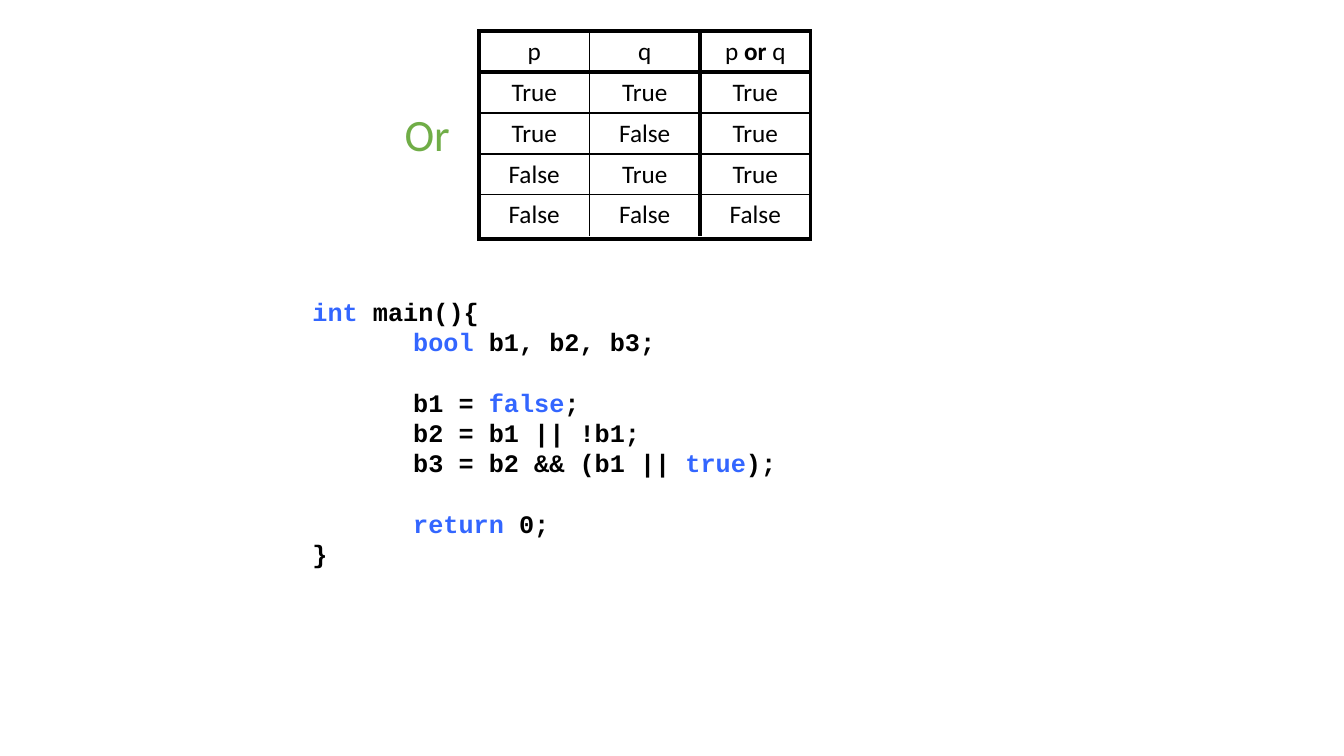
import pptx
import pptx.dml.color
import pptx.enum.text
import pptx.oxml
import pptx.oxml.ns
import pptx.util
from pptx.util import Inches

BLACK = pptx.dml.color.RGBColor(0x00, 0x00, 0x00)
GREEN = pptx.dml.color.RGBColor(0x70, 0xAD, 0x47)
BLUE = pptx.dml.color.RGBColor(0x33, 0x66, 0xFF)

PLAIN_TABLE_STYLE = "{2D5ABB26-0587-4C30-8999-92F81FD0307C}"
THIN, THICK = 1, 3

TRUTH_ROWS = [
    [[("p", False)], [("q", False)], [("p", False), (" or ", True), ("q", False)]],
    *[
        [[(value, False)] for value in row]
        for row in (
            ("True", "True", "True"),
            ("True", "False", "True"),
            ("False", "True", "True"),
            ("False", "False", "False"),
        )
    ],
]

CODE_LINES = [
    (0, False, [("int ", BLUE), ("main(){", BLACK)]),
    (1, False, [("bool ", BLUE), ("b1, b2, b3;", BLACK)]),
    (1, True, [("b1 = ", BLACK), ("false", BLUE), (";", BLACK)]),
    (1, False, [("b2 = b1 || !b1;", BLACK)]),
    (1, False, [("b3 = b2 && (b1 || ", BLACK), ("true", BLUE), (");", BLACK)]),
    (1, True, [("return", BLUE), (" 0;", BLACK)]),
    (0, False, [("}", BLACK)]),
]


def add_run(paragraph, text, font_name, size, color, bold=False):
    run = paragraph.add_run()
    run.text = text
    run.font.name = font_name
    run.font.size = pptx.util.Pt(size)
    run.font.bold = bold
    run.font.color.rgb = color


def set_borders(cell, widths):
    properties = cell._tc.get_or_add_tcPr()
    borders = [
        pptx.oxml.parse_xml(
            f'<a:ln{side} {pptx.oxml.ns.nsdecls("a")} w="{pptx.util.Pt(widths[side])}">'
            f'<a:solidFill><a:srgbClr val="{BLACK}"/></a:solidFill></a:ln{side}>'
        )
        for side in "LRTB"
        if side in widths
    ]
    for position, border in enumerate(borders):
        properties.insert(position, border)


def add_plain_table(slide, rows, columns, left, top, width, height):
    table = slide.shapes.add_table(rows, columns, left, top, width, height).table
    table.first_row = False
    table.horz_banding = False
    style = table._tbl.tblPr.find(pptx.oxml.ns.qn("a:tableStyleId"))
    style.text = PLAIN_TABLE_STYLE
    for cell in table.iter_cells():
        cell.fill.background()
    return table


def add_truth_table(slide, left, top, width, height):
    row_count, column_count = len(TRUTH_ROWS), len(TRUTH_ROWS[0])
    table = add_plain_table(
        slide, row_count, column_count, left, top, width, height
    )
    for row, cells in enumerate(TRUTH_ROWS):
        for column, runs in enumerate(cells):
            cell = table.cell(row, column)
            paragraph = cell.text_frame.paragraphs[0]
            paragraph.alignment = pptx.enum.text.PP_ALIGN.CENTER
            for text, bold in runs:
                add_run(paragraph, text, "Calibri", 18, BLACK, bold)
            widths = {}
            if column > 0:
                widths["L"] = THICK if column == column_count - 1 else THIN
            if column < column_count - 1:
                widths["R"] = THICK if column == column_count - 2 else THIN
            if row > 0:
                widths["T"] = THICK if row == 1 else THIN
            if row < row_count - 1:
                widths["B"] = THICK if row == 0 else THIN
            set_borders(cell, widths)


def add_table_frame(slide, left, top, width, height):
    frame = add_plain_table(slide, 1, 1, left, top, width, height)
    set_borders(frame.cell(0, 0), dict.fromkeys("LRTB", THICK))


def add_operator_label(slide, left, top, width, height):
    text_frame = slide.shapes.add_textbox(left, top, width, height).text_frame
    text_frame.word_wrap = True
    paragraph = text_frame.paragraphs[0]
    paragraph.alignment = pptx.enum.text.PP_ALIGN.RIGHT
    add_run(paragraph, "Or", "Calibri", 32, GREEN)


def add_code(slide, left, top, width, height):
    text_frame = slide.shapes.add_textbox(left, top, width, height).text_frame
    text_frame.word_wrap = True
    line_height = pptx.util.Pt(21.6)
    for number, (level, gap_before, runs) in enumerate(CODE_LINES):
        paragraph = text_frame.add_paragraph() if number else text_frame.paragraphs[0]
        paragraph.line_spacing = line_height
        paragraph.space_before = line_height if gap_before else 0
        paragraph._p.get_or_add_pPr().set("marL", str(Inches(level)))
        for text, color in runs:
            add_run(paragraph, text, "Courier New", 18, color, True)


def main():
    presentation = pptx.Presentation()
    presentation.slide_width = Inches(13.33)
    presentation.slide_height = Inches(7.5)
    slide = presentation.slides.add_slide(presentation.slide_layouts[6])
    left, top, width = Inches(4.75), Inches(0.31), Inches(3.29)
    add_truth_table(slide, left, top, width, Inches(2.03))
    add_table_frame(slide, left, top, width, Inches(2.06))
    add_operator_label(slide, Inches(3.62), Inches(1.01), Inches(0.94), Inches(0.64))
    add_code(slide, Inches(3), Inches(2.89), Inches(5.75), Inches(2.83))
    presentation.save("out.pptx")


if __name__ == "__main__":
    main()
